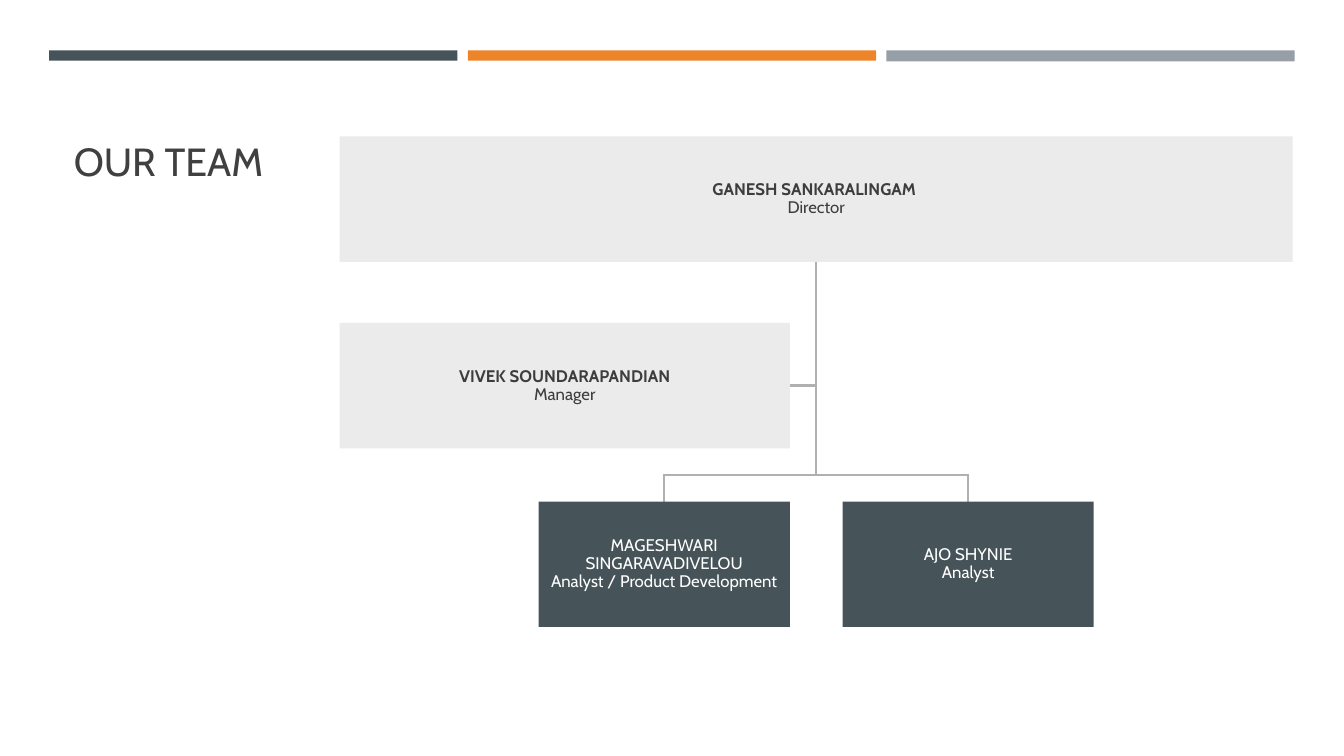
"""Build the team organisation slide."""
from lxml.etree import SubElement
from pptx import Presentation
from pptx.dml.color import RGBColor
from pptx.enum.shapes import MSO_SHAPE
from pptx.enum.text import MSO_ANCHOR, PP_ALIGN
from pptx.oxml.ns import qn
from pptx.util import Cm, Pt

TITLE = "OUR TEAM"
DIRECTOR = ("GANESH SANKARALINGAM ", "Director")
MANAGER = ("VIVEK SOUNDARAPANDIAN", "Manager")
ANALYSTS = [
    ("MAGESHWARI SINGARAVADIVELOU", "Analyst / Product Development"),
    ("AJO SHYNIE", "Analyst"),
]
COLOURS = {
    "slate": "465359", "orange": "ED8428", "grey": "969FA7", "pale": "EBEBEB",
    "line": "B0B0B0", "title": "404040", "dark": "3D3D3D", "white": "FFFFFF",
}
BANDS = [("slate", 0.26), ("orange", 0.26), ("grey", 0.28)]
FONT = "Cabin"

BAND_LEFT, BAND_TOP, BAND_WIDTH, BAND_STEP = 1.24, 1.27, 10.29, 10.55
CHART_LEFT, CHART_WIDTH, CARD_HEIGHT = 8.56, 24.02, 3.16
DIRECTOR_TOP, MANAGER_TOP, ANALYST_TOP = 3.44, 8.14, 12.64
ANALYST_WIDTH, GAP = 6.33, 1.33
TRUNK = CHART_LEFT + CHART_WIDTH / 2
FORK = ANALYST_TOP - GAP / 2


def rgb(name):
    return RGBColor.from_string(COLOURS[name])


def write(shape, lines, *, size, colour, align, anchor, inset, spacing=1.0, bold_first=False):
    frame = shape.text_frame
    frame.word_wrap = True
    frame.vertical_anchor = anchor
    frame.margin_left = frame.margin_right = Cm(inset[0])
    frame.margin_top = frame.margin_bottom = Cm(inset[1])
    paragraph = frame.paragraphs[0]
    paragraph.alignment = align
    paragraph.line_spacing = spacing
    for index, line in enumerate(lines):
        if index:
            paragraph.add_line_break()
        run = paragraph.add_run()
        run.text = line
        run.font.name = FONT
        run.font.size = Pt(size)
        run.font.bold = bold_first and index == 0
        run.font.color.rgb = rgb(colour)


def block(slide, left, top, width, height, fill):
    shape = slide.shapes.add_shape(
        MSO_SHAPE.RECTANGLE, Cm(left), Cm(top), Cm(width), Cm(height))
    shape.shadow.inherit = False
    shape.fill.solid()
    shape.fill.fore_color.rgb = rgb(fill)
    shape.line.fill.background()
    return shape


def card(slide, person, left, top, width, fill, colour, bold_first=False):
    write(block(slide, left, top, width, CARD_HEIGHT, fill), person, size=12,
          colour=colour, align=PP_ALIGN.CENTER, anchor=MSO_ANCHOR.MIDDLE,
          inset=(0.03, 0.03), spacing=0.9, bold_first=bold_first)


def branch(slide, *turns):
    """Draw a bent line from the director through the given turns."""
    start = (TRUNK, DIRECTOR_TOP + CARD_HEIGHT)
    builder = slide.shapes.build_freeform(Cm(start[0]), Cm(start[1]))
    builder.add_line_segments([(Cm(x), Cm(y)) for x, y in turns], close=False)
    shape = builder.convert_to_shape()
    shape.shadow.inherit = False
    shape.fill.background()
    shape.line.color.rgb = rgb("line")
    shape.line.width = Pt(1.75)
    SubElement(shape.line._ln, qn("a:miter"), lim="800000")


def main():
    deck = Presentation()
    deck.slide_width, deck.slide_height = Cm(33.87), Cm(19.05)
    slide = deck.slides.add_slide(deck.slide_layouts[6])

    for index, (fill, height) in enumerate(BANDS):
        block(slide, BAND_LEFT + index * BAND_STEP, BAND_TOP, BAND_WIDTH, height, fill)

    heading = slide.shapes.add_textbox(Cm(1.61), Cm(2.03), Cm(30.63), Cm(2.75))
    write(heading, [TITLE], size=28, colour="title", align=PP_ALIGN.LEFT,
          anchor=MSO_ANCHOR.BOTTOM, inset=(0.25, 0.13))

    manager_right = TRUNK - GAP / 2
    manager_middle = MANAGER_TOP + CARD_HEIGHT / 2
    step = ANALYST_WIDTH + GAP
    first_centre = TRUNK - step * (len(ANALYSTS) - 1) / 2
    centres = [first_centre + index * step for index in range(len(ANALYSTS))]

    branch(slide, (TRUNK, manager_middle), (manager_right, manager_middle))
    for centre in reversed(centres):
        branch(slide, (TRUNK, FORK), (centre, FORK), (centre, ANALYST_TOP))

    card(slide, DIRECTOR, CHART_LEFT, DIRECTOR_TOP, CHART_WIDTH,
         "pale", "dark", bold_first=True)
    for person, centre in zip(ANALYSTS, centres):
        card(slide, person, centre - ANALYST_WIDTH / 2, ANALYST_TOP,
             ANALYST_WIDTH, "slate", "white")
    card(slide, MANAGER, CHART_LEFT, MANAGER_TOP, manager_right - CHART_LEFT,
         "pale", "dark", bold_first=True)

    deck.save("out.pptx")


if __name__ == "__main__":
    main()
